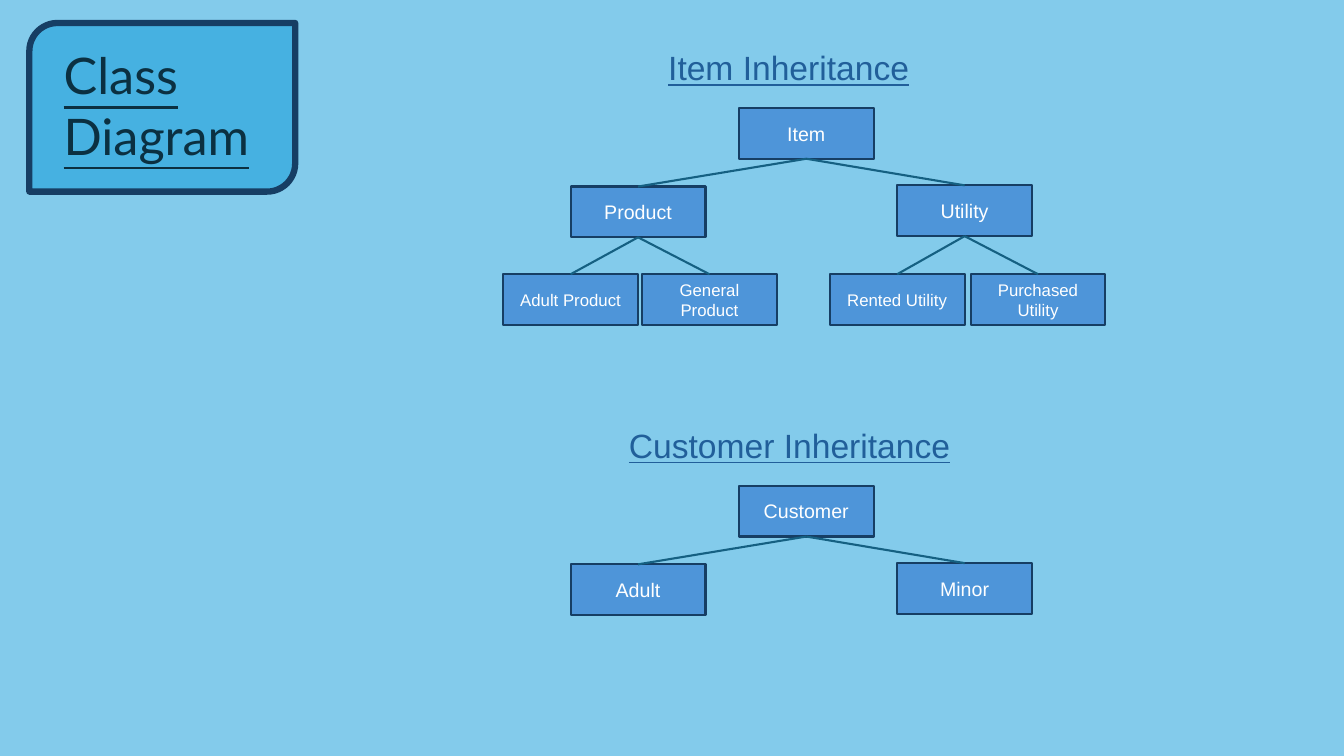
"""Build the class diagram slide with two inheritance trees."""
from lxml.etree import SubElement
from pptx import Presentation
from pptx.dml.color import RGBColor
from pptx.enum.shapes import MSO_CONNECTOR, MSO_SHAPE
from pptx.enum.text import MSO_ANCHOR, MSO_AUTO_SIZE, PP_ALIGN
from pptx.oxml.ns import qn
from pptx.util import Cm, Pt

BOX_W, BOX_H = 3.4, 1.28
ROOT_X, LEFT_X, RIGHT_X = 20.32, 16.08, 24.31
ROOT_Y, LEFT_Y, RIGHT_Y, LEAF_Y = 2.72, 4.7, 4.67, 6.91
HEADING_Y = 1.07
TREE_STEP = 9.52

ITEM_TREE = ("Item", ROOT_X, ROOT_Y, 14, [
    ("Product", LEFT_X, LEFT_Y, 14, [
        ("Adult Product", 14.38, LEAF_Y, 12, []),
        ("General Product", 17.88, LEAF_Y, 12, []),
    ]),
    ("Utility", RIGHT_X, RIGHT_Y, 14, [
        ("Rented Utility", 22.61, LEAF_Y, 12, []),
        ("Purchased Utility", 26.16, LEAF_Y, 12, []),
    ]),
])
CUSTOMER_TREE = ("Customer", ROOT_X, ROOT_Y, 14, [
    ("Adult", LEFT_X, LEFT_Y, 14, []),
    ("Minor", RIGHT_X, RIGHT_Y, 14, []),
])


def paint(color_format, value):
    """Set a colour from a hex string."""
    color_format.rgb = RGBColor.from_string(value)


def fill_solid(fill, value):
    """Give a fill one solid colour."""
    fill.solid()
    paint(fill.fore_color, value)


def set_text(sp, text, size, font, color, align, anchor, underline=False):
    """Write one formatted paragraph into a shape."""
    tf = sp.text_frame
    tf.text = text
    tf.word_wrap = True
    tf.vertical_anchor = anchor
    p = tf.paragraphs[0]
    p.alignment = align
    r = p.runs[0]
    r.font.size = Pt(size)
    r.font.name = font
    r.font.underline = underline
    paint(r.font.color, color)


def add_panel(s, kind, left, top, width, height, fill, line_width):
    """Add a filled shape with a dark outline."""
    sp = s.shapes.add_shape(kind, Cm(left), Cm(top), Cm(width), Cm(height))
    sp.shadow.inherit = False
    fill_solid(sp.fill, fill)
    paint(sp.line.color, "163E64")
    sp.line.width = Pt(line_width)
    return sp


def add_title(s, text):
    """Place the title on its rounded card."""
    card = add_panel(s, MSO_SHAPE.ROUND_2_DIAG_RECTANGLE,
                     0.74, 0.58, 6.7, 4.25, "46B1E1", 4.5)
    title = s.shapes.title
    title.left, title.top = Cm(1.35), Cm(0.99)
    title.width, title.height = Cm(5.51), Cm(3.33)
    set_text(title, text, 36, "Lato", "0B3041",
             PP_ALIGN.LEFT, MSO_ANCHOR.TOP, True)
    title.text_frame.auto_size = MSO_AUTO_SIZE.SHAPE_TO_FIT_TEXT
    card.element.addnext(title.element)


def add_heading(s, text, left, top, width):
    """Add an underlined heading above a tree."""
    sp = s.shapes.add_textbox(Cm(left), Cm(top), Cm(width), Cm(1.28))
    set_text(sp, text, 24, "Arial", "215F9A",
             PP_ALIGN.LEFT, MSO_ANCHOR.TOP, True)


def add_branch(s, parent, child):
    """Connect the bottom of a parent box to the top of its child."""
    line = s.shapes.add_connector(MSO_CONNECTOR.STRAIGHT, 0, 0, 0, 0)
    line.begin_connect(parent, 2)
    line.end_connect(child, 0)
    paint(line.line.color, "156082")
    line.line.width = Pt(1.5)
    SubElement(line.element.spPr, qn("a:effectLst"))


def add_tree(s, node, offset=0):
    """Draw a class box, its subclasses and the branches between them."""
    name, center, top, size, children = node
    box = add_panel(s, MSO_SHAPE.RECTANGLE, center - BOX_W / 2, top + offset,
                    BOX_W, BOX_H, "4E95D9", 1.5)
    set_text(box, name, size, "Arial", "FFFFFF",
             PP_ALIGN.CENTER, MSO_ANCHOR.MIDDLE)
    for child in children:
        add_branch(s, box, add_tree(s, child, offset))
    return box


def main():
    """Build and save the slide."""
    prs = Presentation()
    prs.slide_width, prs.slide_height = Cm(33.87), Cm(19.05)
    s = prs.slides.add_slide(prs.slide_layouts[5])
    fill_solid(s.background.fill, "83CBEB")
    add_title(s, "Class Diagram")
    add_heading(s, "Item Inheritance", 16.59, HEADING_Y, 7.47)
    add_tree(s, ITEM_TREE)
    add_heading(s, "Customer Inheritance", 15.6, HEADING_Y + TREE_STEP, 9.42)
    add_tree(s, CUSTOMER_TREE, TREE_STEP)
    prs.save("out.pptx")


if __name__ == "__main__":
    main()
